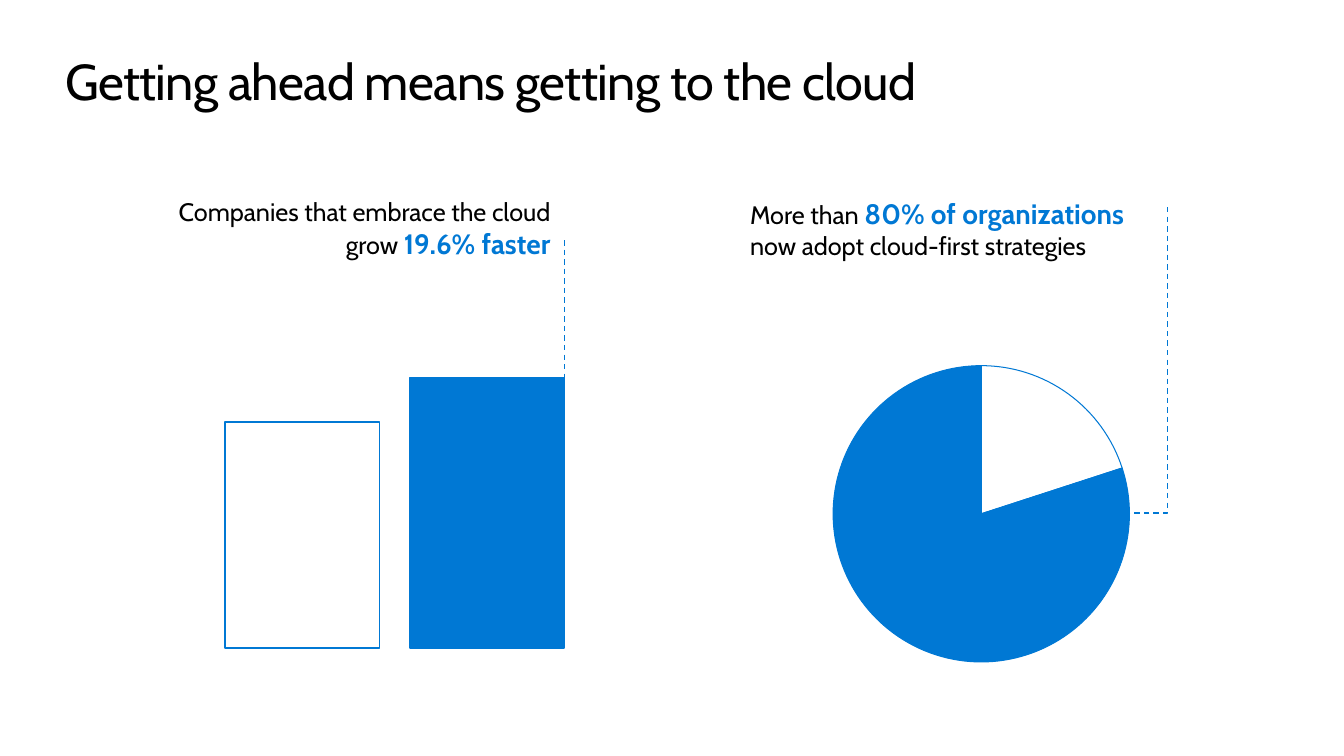
"""Build the slide on growth and adoption in the cloud."""
from dataclasses import dataclass

import pptx
import pptx.chart.data
import pptx.dml.color
import pptx.enum.chart
import pptx.enum.dml
import pptx.enum.shapes
import pptx.enum.text
import pptx.oxml
import pptx.oxml.ns
import pptx.util

PX = 9144
FONT = "Cabin"
COLORS = {"blue": "0078D4", "black": "000000", "white": "FFFFFF"}
ALIGN = pptx.enum.text.PP_ALIGN
CONNECTOR = pptx.enum.shapes.MSO_CONNECTOR


@dataclass(frozen=True)
class Box:
    x: int
    y: int
    w: int
    h: int

    def emu(self) -> tuple[int, int, int, int]:
        return px(self.x), px(self.y), px(self.w), px(self.h)


@dataclass(frozen=True)
class Run:
    text: str
    size: float = 18.4
    color: str = "black"
    bold: bool = False


@dataclass(frozen=True)
class Callout:
    box: Box
    runs: tuple[Run, ...]
    align: ALIGN
    left: int
    right: int


@dataclass(frozen=True)
class Bar:
    box: Box
    fill: str


@dataclass(frozen=True)
class Leader:
    kind: CONNECTOR
    start: tuple[int, int]
    end: tuple[int, int]
    rotation: int = 0
    bend: int = 0


TITLE = Run("Getting ahead means getting to the cloud", 36.7)
CALLOUTS = (
    Callout(Box(744, 194, 437, 76), (
        Run("More than "),
        Run("80% of organizations ", 20.4, "blue", True),
        Run("now adopt cloud-first strategies"),
    ), ALIGN.LEFT, 15, 10),
    Callout(Box(122, 194, 450, 77), (
        Run("Companies that embrace the cloud grow "),
        Run("19.6% faster", 20.4, "blue", True),
    ), ALIGN.RIGHT, 10, 15),
)
BARS = (
    Bar(Box(228, 427, 156, 229), "white"),
    Bar(Box(415, 382, 156, 274), "blue"),
)
LEADERS = (
    Leader(CONNECTOR.STRAIGHT, (571, 243), (571, 394)),
    Leader(CONNECTOR.ELBOW, (992, 342), (1314, 399), 90, 96100),
)


def px(n: int) -> int:
    return pptx.util.Emu(n * PX)


def rgb(name: str) -> pptx.dml.color.RGBColor:
    return pptx.dml.color.RGBColor.from_string(COLORS[name])


def write(tf, runs: tuple[Run, ...], *, align: ALIGN = ALIGN.LEFT,
          margins: tuple[int, int, int, int] = (0, 0, 0, 0), spacing: int = 0) -> None:
    tf.word_wrap = True
    tf.auto_size = pptx.enum.text.MSO_AUTO_SIZE.SHAPE_TO_FIT_TEXT
    tf.vertical_anchor = pptx.enum.text.MSO_ANCHOR.TOP
    tf.margin_left, tf.margin_top, tf.margin_right, tf.margin_bottom = map(px, margins)
    p = tf.paragraphs[0]
    p.alignment = align
    for run in runs:
        r = p.add_run()
        r.text = run.text
        r.font.name = FONT
        r.font.size = pptx.util.Pt(run.size)
        r.font.bold = run.bold
        r.font.color.rgb = rgb(run.color)
        if spacing:
            r.font._element.set("spc", str(spacing))


def draw_line(line, width: float) -> None:
    line.color.rgb = rgb("blue")
    line.width = pptx.util.Pt(width)


def draw_title(slide) -> None:
    sp = slide.shapes.title
    sp.left, sp.top, sp.width, sp.height = Box(66, 51, 1229, 62).emu()
    write(sp.text_frame, (TITLE,), spacing=-50)


def draw_callout(slide, callout: Callout) -> None:
    sp = slide.shapes.add_textbox(*callout.box.emu())
    write(sp.text_frame, callout.runs, align=callout.align,
          margins=(callout.left, 5, callout.right, 5))


def draw_bar(slide, bar: Bar) -> None:
    sp = slide.shapes.add_shape(pptx.enum.shapes.MSO_SHAPE.RECTANGLE, *bar.box.emu())
    sp.shadow.inherit = False
    sp.fill.solid()
    sp.fill.fore_color.rgb = rgb(bar.fill)
    draw_line(sp.line, 1.25)


def draw_leader(slide, leader: Leader) -> None:
    sp = slide.shapes.add_connector(leader.kind, *map(px, leader.start + leader.end))
    draw_line(sp.line, 1)
    sp.line.dash_style = pptx.enum.dml.MSO_LINE.DASH
    props = sp._element.spPr
    pptx.oxml.ns.qn("a:effectLst")
    props.append(pptx.oxml.parse_xml(
        f"<a:effectLst {pptx.oxml.ns.nsdecls('a')}/>"))
    if leader.rotation:
        props.find(pptx.oxml.ns.qn("a:xfrm")).set("rot", str(leader.rotation * 60000))
    if leader.bend:
        geom = props.find(pptx.oxml.ns.qn("a:prstGeom"))
        for old in list(geom):
            geom.remove(old)
        geom.append(pptx.oxml.parse_xml(
            f"<a:avLst {pptx.oxml.ns.nsdecls('a')}>"
            f'<a:gd name="adj1" fmla="val {leader.bend}"/></a:avLst>'))


def draw_pie(slide, box: Box) -> None:
    data = pptx.chart.data.CategoryChartData()
    data.categories = ["1", "2"]
    data.add_series("Series 1", (80, 20))
    chart = slide.shapes.add_chart(
        pptx.enum.chart.XL_CHART_TYPE.PIE, *box.emu(), data).chart
    chart.has_legend = False
    chart.has_title = False
    chart.font.name = FONT
    chart.font.size = pptx.util.Pt(10)
    chart.font.color.rgb = rgb("black")
    plot = chart.plots[0]
    plot.vary_by_categories = False
    points = plot.series[0].points
    points[0].format.fill.solid()
    points[0].format.fill.fore_color.rgb = rgb("blue")
    points[1].format.fill.background()
    for i in range(2):
        draw_line(points[i].format.line, 0.75)
    pie = plot._element
    for old in pie.findall(pptx.oxml.ns.qn("c:firstSliceAng")):
        pie.remove(old)
    ns = pptx.oxml.ns.nsdecls("c")
    pie.append(pptx.oxml.parse_xml(f'<c:firstSliceAng {ns} val="72"/>'))
    area = pie.getparent()
    for old in area.findall(pptx.oxml.ns.qn("c:layout")):
        area.remove(old)
    places = "".join(f'<c:{tag} val="{val}"/>' for tag, val in (
        ("layoutTarget", "inner"), ("xMode", "edge"), ("yMode", "edge"),
        ("x", 0.04), ("y", 0.04), ("w", 0.92), ("h", 0.92)))
    area.insert(0, pptx.oxml.parse_xml(
        f"<c:layout {ns}><c:manualLayout>{places}</c:manualLayout></c:layout>"))


def main() -> None:
    prs = pptx.Presentation()
    prs.slide_width, prs.slide_height = px(1360), px(765)
    slide = prs.slides.add_slide(prs.slide_layouts[5])
    draw_title(slide)
    draw_pie(slide, Box(830, 357, 326, 326))
    for draw, items in ((draw_callout, CALLOUTS), (draw_bar, BARS), (draw_leader, LEADERS)):
        for item in items:
            draw(slide, item)
    prs.save("out.pptx")


if __name__ == "__main__":
    main()
